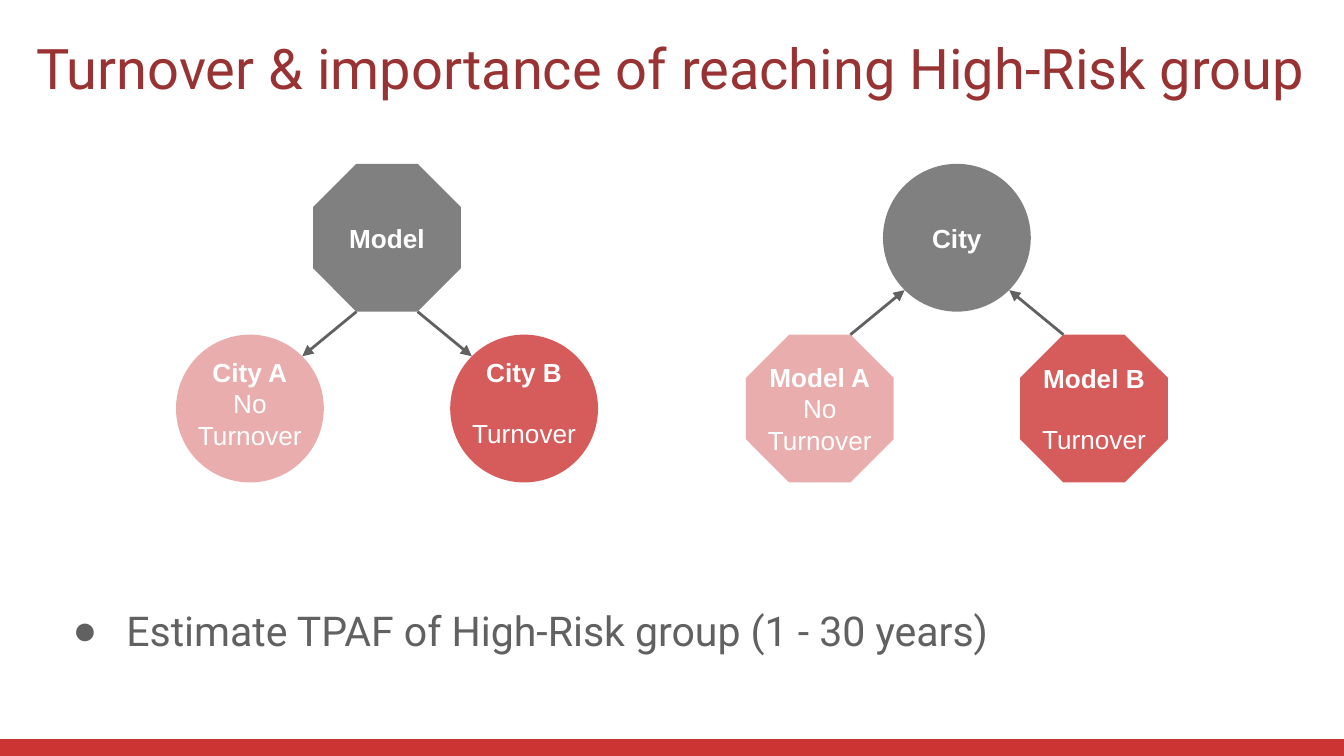
from lxml import etree
from pptx import Presentation
from pptx.dml.color import RGBColor
from pptx.enum import shapes, text
from pptx.oxml import ns
from pptx.util import Pt

RED, GREY, WHITE, MAROON = "CC3333", "616161", "FFFFFF", "993333"
NODE = 79.2
OCTAGON_CUT = 0.293
ELLIPSE_CUT = 0.146


def rgb(value):
    """Turn a hex string into a colour."""
    return RGBColor.from_string(value)


def child(parent, tag, **attributes):
    """Append a DrawingML element."""
    return etree.SubElement(parent, ns.qn(tag), attributes)


class Deck:
    """Hold the style and the current slide."""

    def __init__(self, width, height):
        """Open a deck with one title and list slide."""
        self.prs = Presentation()
        self.prs.slide_width, self.prs.slide_height = Pt(width), Pt(height)
        self.slide = self.prs.slides.add_slide(self.prs.slide_layouts[1])
        self.canvas = self.slide.shapes

    def group(self):
        """Send the next shapes to a new group."""
        self.canvas = self.slide.shapes.add_group_shape().shapes

    def run(self, paragraph, words, font, size, color, bold=False):
        """Add one formatted run."""
        run = paragraph.add_run()
        run.text = words
        run.font.name, run.font.size, run.font.bold = font, Pt(size), bold
        run.font.color.rgb = rgb(color)

    def placeholder(self, index, box, words, size, color, anchor):
        """Move and fill a placeholder and return its paragraph."""
        holder = self.slide.placeholders[index]
        holder.left, holder.top, holder.width, holder.height = map(Pt, box)
        frame = holder.text_frame
        frame.margin_left = frame.margin_right = Pt(7.2)
        frame.margin_top = frame.margin_bottom = Pt(7.2)
        frame.word_wrap = True
        frame.auto_size = text.MSO_AUTO_SIZE.NONE
        frame.vertical_anchor = anchor
        paragraph = frame.paragraphs[0]
        paragraph.alignment = text.PP_ALIGN.LEFT
        paragraph.space_before = Pt(0)
        self.run(paragraph, words, "Roboto", size, color)
        return paragraph

    def title(self, box, words):
        """Set the slide title."""
        self.placeholder(0, box, words, 30, MAROON, text.MSO_ANCHOR.MIDDLE)

    def bullet(self, box, words):
        """Set the bulleted body text."""
        paragraph = self.placeholder(1, box, words, 22, GREY, text.MSO_ANCHOR.TOP)
        paragraph.line_spacing = 1.12
        props = paragraph._p.get_or_add_pPr()
        props.set("marL", str(Pt(36)))
        props.set("indent", str(-Pt(28.8)))
        child(child(props, "a:buClr"), "a:srgbClr", val=GREY)
        child(props, "a:buChar", char="●")

    def shape(self, kind, box, color, opacity=100):
        """Draw a plain filled shape."""
        shape = self.canvas.add_shape(kind, *map(Pt, box))
        shape.shadow.inherit = False
        shape.fill.solid()
        shape.fill.fore_color.rgb = rgb(color)
        shape.line.fill.background()
        if opacity < 100:
            fill = shape._element.spPr.find(ns.qn("a:solidFill"))
            child(fill[0], "a:alpha", val=str(opacity * 1000))
        return shape

    def node(self, kind, left, top, color, opacity, name, lines=(), gap=0, anchor=text.MSO_ANCHOR.MIDDLE):
        """Draw a labelled node with a bold name."""
        node = self.shape(kind, (left, top, NODE, NODE), color, opacity)
        if kind == shapes.MSO_SHAPE.OCTAGON:
            node.adjustments[0] = OCTAGON_CUT
        frame = node.text_frame
        frame.margin_left = frame.margin_right = frame.margin_top = frame.margin_bottom = 0
        frame.word_wrap = True
        frame.vertical_anchor = anchor
        for i, words in enumerate((name, *lines)):
            paragraph = frame.add_paragraph() if i else frame.paragraphs[0]
            paragraph.alignment = text.PP_ALIGN.CENTER
            if i == 1:
                paragraph.space_before = Pt(gap)
            self.run(paragraph, words, "Arial", 14, WHITE, bold=i == 0)

    def arrow(self, start, end):
        """Draw an arrow between two points."""
        arrow = self.canvas.add_connector(shapes.MSO_CONNECTOR.STRAIGHT, *map(Pt, (*start, *end)))
        arrow.line.color.rgb = rgb(GREY)
        arrow.line.width = Pt(1.5)
        child(arrow.line._get_or_add_ln(), "a:tailEnd", type="triangle")
        child(arrow._element.spPr, "a:effectLst")

    def tree(self, left, root, leaf, root_kind, leaf_kind, leaf_anchor, upward):
        """Draw a root node linked to two leaves."""
        root_top, leaf_top, spread = 87.8, 179.3, 146.9
        root_left = left + spread / 2
        center = root_left + NODE / 2
        self.group()
        self.node(leaf_kind, left, leaf_top, RED, 40, f"{leaf} A", ("No", "Turnover"), anchor=leaf_anchor)
        self.node(leaf_kind, left + spread, leaf_top, RED, 80, f"{leaf} B", ("Turnover",), 16.1, leaf_anchor)
        self.node(root_kind, root_left, root_top, GREY, 80, root)
        octagon, ellipse = NODE * OCTAGON_CUT, NODE * ELLIPSE_CUT
        if upward:
            start = (left + NODE - octagon, leaf_top)
            end = (root_left + ellipse, root_top + NODE - ellipse)
        else:
            start = (root_left + octagon, root_top + NODE)
            end = (left + NODE - ellipse, leaf_top + ellipse)
        self.arrow(start, end)
        self.arrow(*((2 * center - x, y) for x, y in (start, end)))


def main():
    """Build the slide."""
    circle, octagon = shapes.MSO_SHAPE.OVAL, shapes.MSO_SHAPE.OCTAGON
    deck = Deck(720, 405)
    deck.shape(shapes.MSO_SHAPE.RECTANGLE, (0, 396, 720, 9), RED)
    deck.title((12.2, 10, 699, 52), "Turnover & importance of reaching High-Risk group")
    deck.tree(94.3, "Model", "City", octagon, circle, text.MSO_ANCHOR.TOP, upward=False)
    deck.tree(399.6, "City", "Model", circle, octagon, text.MSO_ANCHOR.MIDDLE, upward=True)
    deck.bullet((24.5, 314, 671, 91), "Estimate TPAF of High-Risk group (1 - 30 years)")
    deck.prs.save("out.pptx")


if __name__ == "__main__":
    main()
